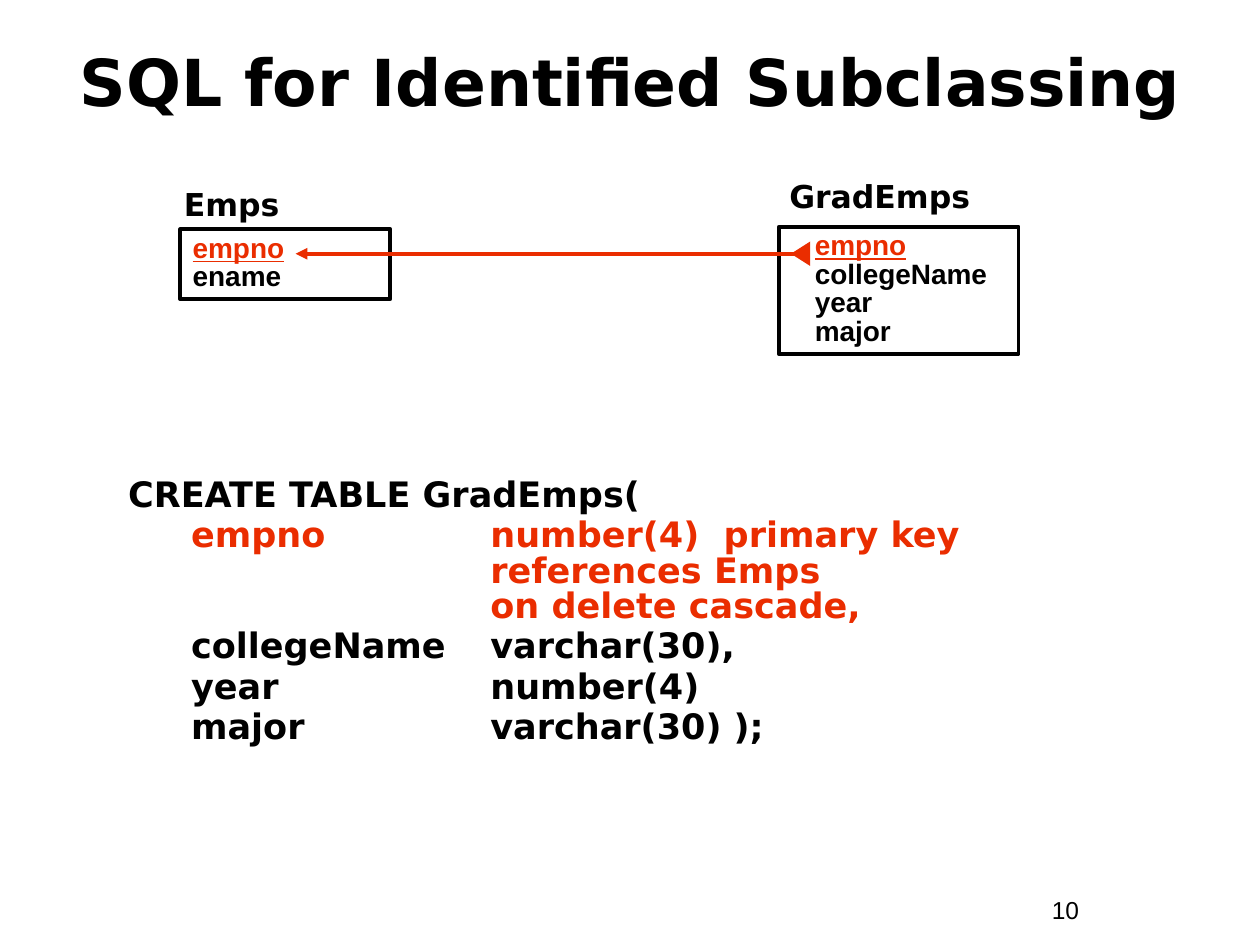
from dataclasses import dataclass

import pptx
import pptx.dml.color
import pptx.enum.shapes
import pptx.enum.text
import pptx.oxml.ns
import pptx.util
from lxml import etree

Pt = pptx.util.Pt
BLACK = pptx.dml.color.RGBColor(0x00, 0x00, 0x00)
RED = pptx.dml.color.RGBColor(0xEA, 0x2D, 0x00)
HEADING_FONT = "DejaVu Sans"
LABEL_FONT = "Arial"
ANCHOR = pptx.enum.text.MSO_ANCHOR
SHAPES = pptx.enum.shapes.MSO_SHAPE


@dataclass(frozen=True)
class Style:
    font: str
    size: float
    bold: bool = True
    spacing: float = 1.0


@dataclass(frozen=True)
class Line:
    """One paragraph; line feeds in the text become line breaks."""
    text: str
    color: pptx.dml.color.RGBColor = BLACK
    underline: bool = False
    left: float = 0
    first: float = 0
    before: float = 0
    level: int = 0
    tabs: tuple[float, ...] = ()


@dataclass(frozen=True)
class Frame:
    left: float
    top: float
    width: float
    height: float

    def lengths(self) -> tuple:
        return Pt(self.left), Pt(self.top), Pt(self.width), Pt(self.height)


@dataclass(frozen=True)
class Entity:
    name: str
    name_frame: Frame
    name_spacing: float
    frame: Frame
    columns: tuple[Line, ...]


TITLE_STYLE = Style(HEADING_FONT, 37, spacing=0.8)
CODE_STYLE = Style(HEADING_FONT, 20, spacing=0.85)
COLUMN_STYLE = Style(LABEL_FONT, 16, spacing=0.85)
NUMBER_STYLE = Style(LABEL_FONT, 14, bold=False)

ENTITIES = (
    Entity("Emps", Frame(98, 102, 155, 29), 1.0, Frame(103, 131, 120, 40),
           (Line("empno", RED, True), Line("ename"))),
    Entity("GradEmps", Frame(444, 102, 155, 25), 0.8, Frame(445, 129.6, 137, 72.7),
           (Line("empno", RED, True, left=13.5),
            Line("collegeName\nyear\nmajor", left=13.5))),
)


def column_definition(text: str, color: pptx.dml.color.RGBColor = BLACK) -> Line:
    return Line(text, color, left=207, first=-171, before=2.5, level=1, tabs=(0, 216))


CODE = (
    Line("CREATE TABLE GradEmps(", left=27, first=-27),
    column_definition("empno\tnumber(4)  primary key\nreferences Emps\non delete cascade,", RED),
    column_definition("collegeName\tvarchar(30),"),
    column_definition("year\tnumber(4)"),
    column_definition("major\tvarchar(30) );"),
)


def add_element(parent, tag: str, **attributes: str):
    return etree.SubElement(parent, pptx.oxml.ns.qn(tag), attributes)


def format_paragraph(paragraph, line: Line, style: Style, align) -> None:
    paragraph.level = line.level
    properties = paragraph._p.get_or_add_pPr()
    properties.set("marL", str(Pt(line.left)))
    properties.set("indent", str(Pt(line.first)))
    add_element(properties, "a:buNone")
    if line.tabs:
        stops = add_element(properties, "a:tabLst")
        for position in line.tabs:
            add_element(stops, "a:tab", pos=str(Pt(position)), algn="l")
    paragraph.alignment = align
    paragraph.line_spacing = style.spacing
    paragraph.space_before = Pt(line.before)
    paragraph.space_after = Pt(0)


def write_lines(box, lines: tuple[Line, ...], style: Style,
                align=pptx.enum.text.PP_ALIGN.LEFT, anchor=ANCHOR.TOP) -> None:
    text_frame = box.text_frame
    text_frame.word_wrap = True
    text_frame.auto_size = pptx.enum.text.MSO_AUTO_SIZE.NONE
    text_frame.vertical_anchor = anchor
    text_frame.margin_left = text_frame.margin_right = Pt(7.2)
    text_frame.margin_top = text_frame.margin_bottom = Pt(3.6)
    for index, line in enumerate(lines):
        paragraph = text_frame.add_paragraph() if index else text_frame.paragraphs[0]
        format_paragraph(paragraph, line, style, align)
        for row, text in enumerate(line.text.split("\n")):
            if row:
                paragraph.add_line_break()
            span = paragraph.add_run()
            span.text = text
            span.font.name = style.font
            span.font.size = Pt(style.size)
            span.font.bold = style.bold
            span.font.underline = line.underline
            span.font.color.rgb = line.color


def place(box, frame: Frame) -> None:
    box.left, box.top, box.width, box.height = frame.lengths()


def draw_entity(page, entity: Entity) -> None:
    label = page.shapes.add_textbox(*entity.name_frame.lengths())
    write_lines(label, (Line(entity.name),),
                Style(HEADING_FONT, 18, spacing=entity.name_spacing))
    box = page.shapes.add_shape(SHAPES.RECTANGLE, *entity.frame.lengths())
    box.shadow.inherit = False
    box.fill.background()
    box.line.color.rgb = BLACK
    box.line.width = Pt(2.25)
    write_lines(box, entity.columns, COLUMN_STYLE)


def draw_reference(page) -> None:
    """Draw the foreign key arrow from GradEmps back to Emps."""
    y = Pt(145)
    arrow = page.shapes.add_connector(
        pptx.enum.shapes.MSO_CONNECTOR.STRAIGHT, Pt(169), y, Pt(461), y)
    arrow.line.color.rgb = RED
    arrow.line.width = Pt(2.25)
    add_element(arrow.line._get_or_add_ln(), "a:headEnd", type="triangle")
    add_element(arrow._element.spPr, "a:effectLst")
    marker = page.shapes.add_shape(
        SHAPES.ISOSCELES_TRIANGLE, *Frame(450.5, 139.5, 14, 11).lengths())
    marker.rotation = 270
    marker.shadow.inherit = False
    marker.fill.solid()
    marker.fill.fore_color.rgb = RED
    marker.line.fill.background()


def main() -> None:
    deck = pptx.Presentation()
    deck.slide_width, deck.slide_height = Pt(720), Pt(540)
    page = deck.slides.add_slide(deck.slide_layouts[1])
    title, body = page.placeholders
    place(title, Frame(24, 26, 672, 48))
    write_lines(title, (Line("SQL for Identified Subclassing"),), TITLE_STYLE,
                pptx.enum.text.PP_ALIGN.CENTER, ANCHOR.MIDDLE)
    place(body, Frame(66, 270, 570, 183))
    write_lines(body, CODE, CODE_STYLE)
    for entity in ENTITIES:
        draw_entity(page, entity)
    draw_reference(page)
    number = page.shapes.add_textbox(*Frame(594, 508, 66, 24).lengths())
    write_lines(number, (Line("10"),), NUMBER_STYLE)
    deck.save("out.pptx")


if __name__ == "__main__":
    main()
